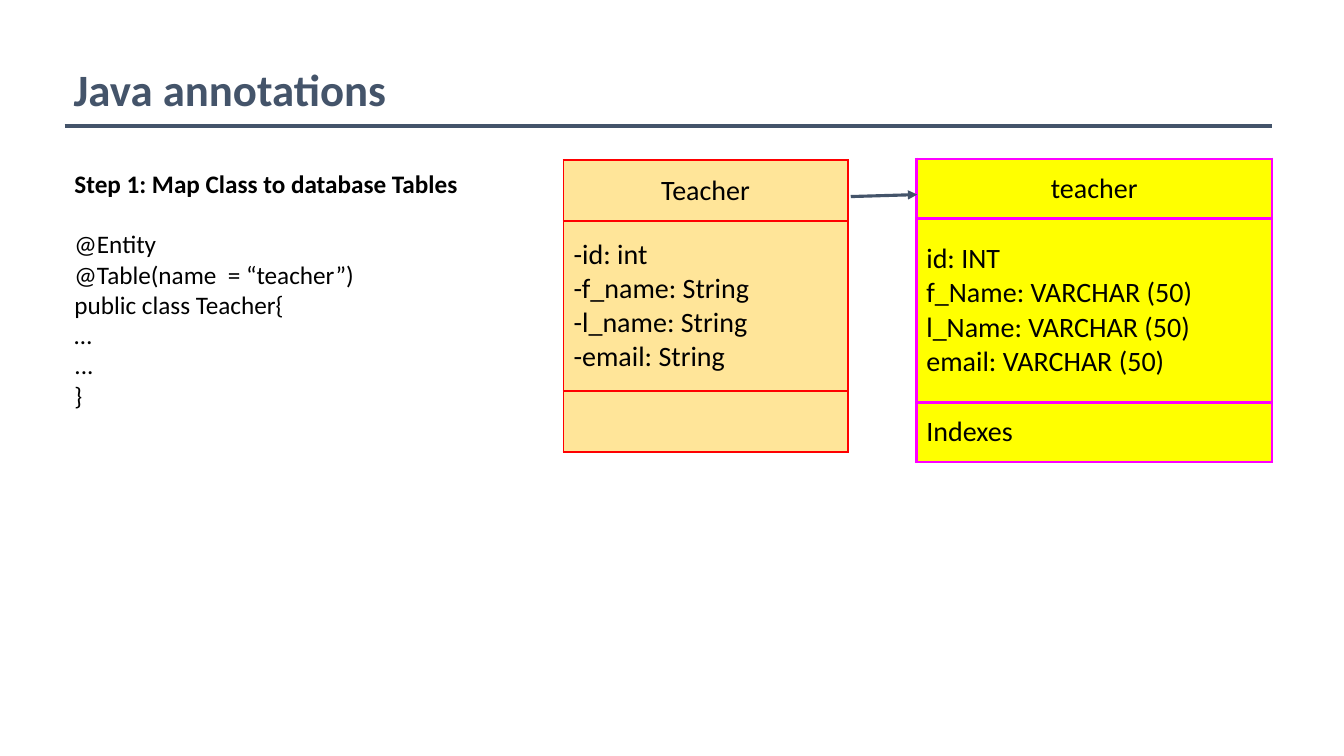
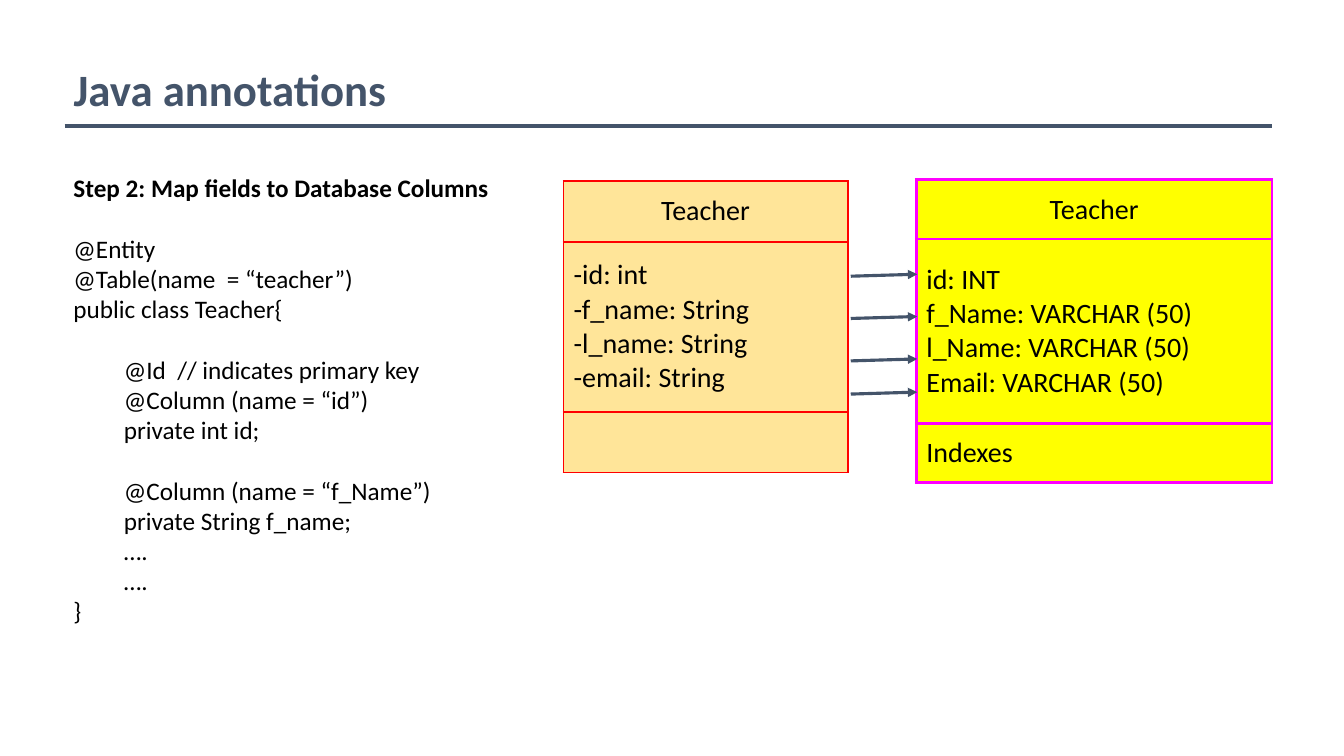
from dataclasses import dataclass

from pptx import Presentation
from pptx.dml.color import RGBColor
from pptx.enum.shapes import MSO_CONNECTOR as Connector
from pptx.enum.text import MSO_ANCHOR as Anchor, PP_ALIGN as Align
from pptx.oxml.ns import qn
from pptx.util import Pt
from lxml.etree import SubElement


@dataclass(frozen=True)
class Theme:
    """Colours, font and type sizes of the deck."""
    font: str = "Calibri"
    slate: str = "44546A"
    black: str = "000000"
    class_fill: str = "FFE599"
    class_border: str = "FF0000"
    database_fill: str = "FFFF00"
    database_border: str = "FF00FF"
    title_size: float = 32
    code_size: float = 18
    table_size: float = 20
    line_width: float = 2.25


THEME = Theme()

TITLE = "Java annotations"
ENTITY = ["@Entity", "@Table(name  = “teacher”)", "public class Teacher{"]
FIELDS = ["-id: int", "-f_name: String", "-l_name: String", "-email: String"]

# A code block is (indented, lines, starts after a gap).
SLIDES = [
    {
        "heading": "Step 1: Map Class to database Tables",
        "code": [(False, ENTITY + ["…", "...", "}"], True)],
        "code_at": (46.1, 113),
        "class_top": 114.5,
        "database_top": 113.6,
        "database": ["teacher", ["id: INT", "f_Name: VARCHAR (50)",
                                 "l_Name: VARCHAR (50)", "email: VARCHAR (50)"]],
        "arrow_tops": [140.4],
    },
    {
        "heading": "Step 2: Map fields to Database Columns",
        "code": [
            (False, ENTITY, True),
            (True, ["@Id  // indicates primary key", "@Column (name = “id”)",
                    "private int id;"], True),
            (True, ["@Column (name = “f_Name”)", "private String f_name;",
                    "….", "…."], True),
            (False, ["}"], False),
        ],
        "code_at": (45.4, 116),
        "class_top": 129.4,
        "database_top": 128.4,
        "database": ["Teacher", ["id: INT", "f_Name: VARCHAR (50)",
                                 "l_Name: VARCHAR (50)", "Email: VARCHAR (50)"]],
        "arrow_tops": [197.3, 227.5, 257.8, 281.5],
    },
]

TITLE_BOX = (45.4, 40.3, 630, 46.1)
RULE = (46.1, 90, 908.6, 90)
CODE_WIDTH, CODE_LINE, CODE_INDENT = 730.8, 21.6, 36
CLASS_TABLE = {"left": 402.5, "width": 203, "rows": (43.2, 121.7, 43.2),
               "fill": THEME.class_fill, "border": THEME.class_border,
               "border_width": 1.5}
DATABASE_TABLE = {"left": 654.5, "width": 254.2, "rows": (42.4, 131.6, 42.4),
                  "fill": THEME.database_fill, "border": THEME.database_border,
                  "border_width": 2.25}
ARROW_LEFT, ARROW_RIGHT, ARROW_RISE = 607.7, 655.2, 1.4


def points(values):
    """Turn numbers into lengths in points."""
    return [Pt(value) for value in values]


def apply(target, formats):
    """Set every attribute in a dict of format values."""
    for name, value in formats.items():
        setattr(target, name, value)


def insets(side, end):
    """Margins for a text frame or a cell."""
    return {"margin_left": Pt(side), "margin_right": Pt(side),
            "margin_top": Pt(end), "margin_bottom": Pt(end)}


def write(paragraph, text, size, color=THEME.black, bold=False, align=Align.LEFT):
    """Put one formatted run into a paragraph."""
    paragraph.alignment = align
    run = paragraph.add_run()
    run.text = text
    apply(run.font, {"name": THEME.font, "size": Pt(size), "bold": bold})
    run.font.color.rgb = RGBColor.from_string(color)


def add_line(slide, ends, arrow=False):
    """Draw a slate line, with an arrowhead at its end if asked."""
    connector = slide.shapes.add_connector(Connector.STRAIGHT, *points(ends))
    connector.line.width = Pt(THEME.line_width)
    connector.line.color.rgb = RGBColor.from_string(THEME.slate)
    if arrow:
        SubElement(connector.line._get_or_add_ln(), qn("a:tailEnd"), type="triangle")
    SubElement(connector._element.spPr, qn("a:effectLst"))


def add_title(slide):
    """Place the title and the rule below it."""
    title = slide.shapes.title
    apply(title, dict(zip(("left", "top", "width", "height"), points(TITLE_BOX))))
    apply(title.text_frame, {"vertical_anchor": Anchor.MIDDLE, "word_wrap": True,
                             **insets(7.2, 3.6)})
    write(title.text_frame.paragraphs[0], TITLE, THEME.title_size, THEME.slate, True)
    add_line(slide, RULE)


def add_code(slide, heading, blocks, position):
    """Write the step heading and the code blocks below it."""
    count = 1 + sum(len(lines) + gap for _, lines, gap in blocks)
    height = count * CODE_LINE + 14.4
    box = slide.shapes.add_textbox(*points((*position, CODE_WIDTH, height)))
    frame = box.text_frame
    apply(frame, {"word_wrap": True, **insets(7.2, 7.2)})
    write(frame.paragraphs[0], heading, THEME.code_size, bold=True)
    for indented, lines, gap in blocks:
        for index, line in enumerate(lines):
            paragraph = frame.add_paragraph()
            write(paragraph, line, THEME.code_size)
            if gap and index == 0:
                paragraph.space_before = Pt(CODE_LINE)
            if indented:
                paragraph._p.get_or_add_pPr().set("marL", str(Pt(CODE_INDENT)))


def set_borders(cell, color, width):
    """Give a cell four solid borders."""
    properties = cell._tc.get_or_add_tcPr()
    for side in ("lnL", "lnR", "lnT", "lnB"):
        line = SubElement(properties, qn(f"a:{side}"), w=str(Pt(width)))
        SubElement(SubElement(line, qn("a:solidFill")), qn("a:srgbClr"), val=color)


def add_entity_table(slide, style, top, sections):
    """Add a one-column table with a centred name row."""
    heights = style["rows"]
    place = (style["left"], top, style["width"], sum(heights))
    table = slide.shapes.add_table(len(heights), 1, *points(place)).table
    apply(table, {"first_row": False, "horz_banding": False})
    for index, (height, lines) in enumerate(zip(heights, sections)):
        table.rows[index].height = Pt(height)
        cell = table.cell(index, 0)
        apply(cell, {"vertical_anchor": Anchor.MIDDLE, **insets(7.2, 7.2)})
        set_borders(cell, style["border"], style["border_width"])
        cell.fill.solid()
        cell.fill.fore_color.rgb = RGBColor.from_string(style["fill"])
        frame = cell.text_frame
        for number, line in enumerate(lines):
            paragraph = frame.add_paragraph() if number else frame.paragraphs[0]
            write(paragraph, line, THEME.table_size,
                  align=Align.LEFT if index else Align.CENTER)


def add_mapping_slide(presentation, content):
    """Build one slide that maps a class to a database table."""
    slide = presentation.slides.add_slide(presentation.slide_layouts[5])
    add_title(slide)
    add_code(slide, content["heading"], content["code"], content["code_at"])
    add_entity_table(slide, CLASS_TABLE, content["class_top"],
                     [["Teacher"], FIELDS, []])
    name, columns = content["database"]
    add_entity_table(slide, DATABASE_TABLE, content["database_top"],
                     [[name], columns, ["Indexes"]])
    for top in content["arrow_tops"]:
        add_line(slide, (ARROW_LEFT, top, ARROW_RIGHT, top - ARROW_RISE), arrow=True)


def main():
    """Build and save the deck."""
    presentation = Presentation()
    apply(presentation, {"slide_width": Pt(960), "slide_height": Pt(540)})
    for content in SLIDES:
        add_mapping_slide(presentation, content)
    presentation.save("out.pptx")


main()
